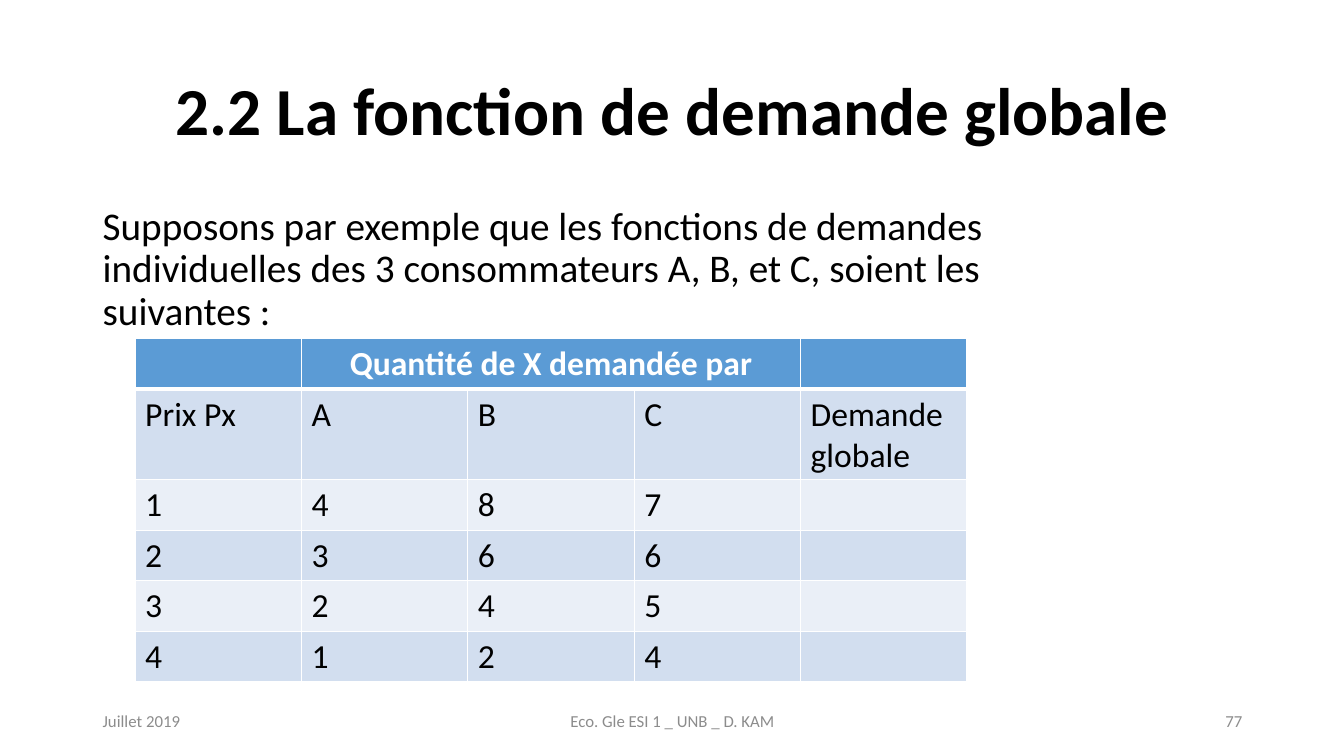
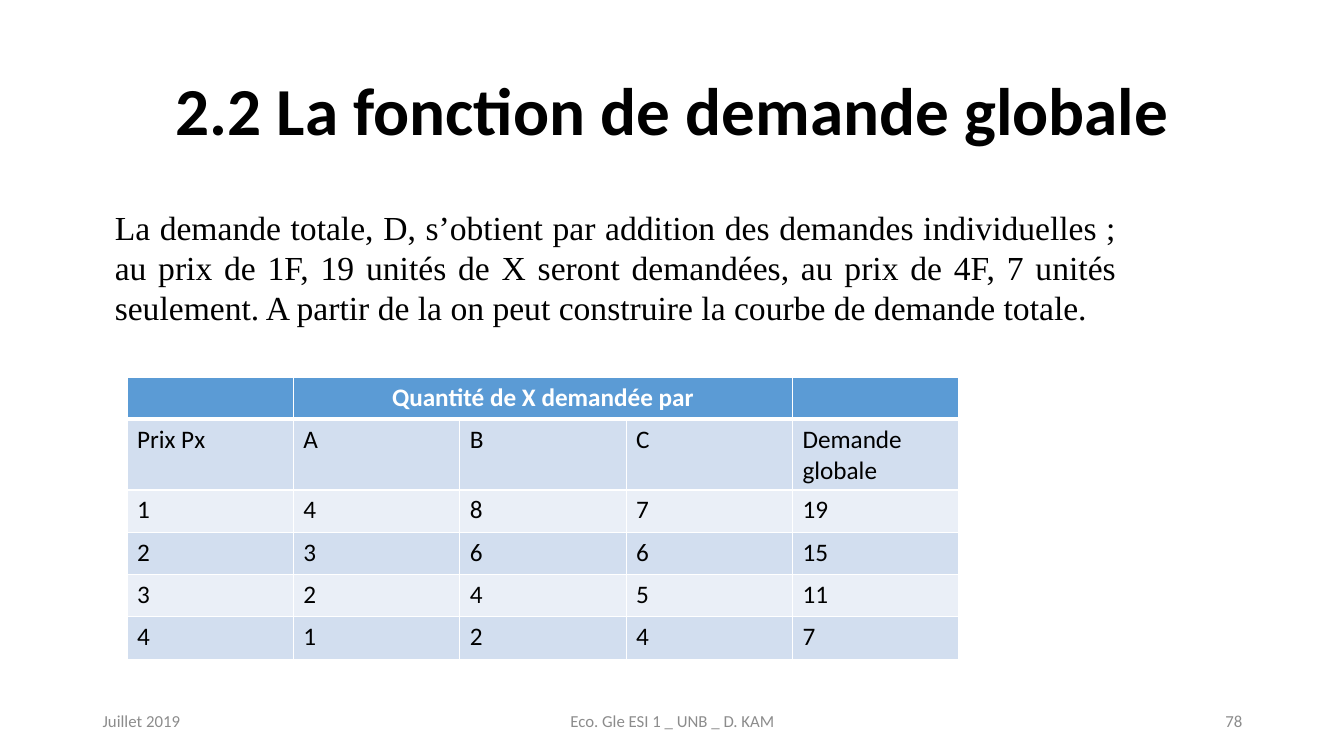
import pptx
import pptx.util
import pptx.dml.color
import pptx.enum.text
import pptx.oxml
from dataclasses import dataclass

Inches, Pt = pptx.util.Inches, pptx.util.Pt
ALIGN = pptx.enum.text.PP_ALIGN
ANCHOR = pptx.enum.text.MSO_ANCHOR


@dataclass(frozen=True)
class Theme:
    sans: str = "Calibri"
    serif: str = "Times New Roman"
    ink: str = "000000"
    white: str = "FFFFFF"
    grey: str = "8C8C8C"
    header: str = "5B9BD5"
    bands: tuple = ("D2DEEF", "EAEFF7")
    title_size: int = 48
    lead_size: int = 28
    note_size: int = 24
    footer_size: int = 12


theme = Theme()

# Content
TITLE = "2.2 La fonction de demande globale"
DATE = "Juillet 2019"
FOOTER = "Eco. Gle ESI 1 _ UNB _ D. KAM"
GROUP_HEADING = "Quantité de X demandée par"
COLUMN_HEADINGS = ["Prix Px ", "A", "B", "C", "Demande globale"]
DEMAND = {1: (4, 8, 7), 2: (3, 6, 6), 3: (2, 4, 5), 4: (1, 2, 4)}

PAGES = [
    dict(
        number=77,
        text="Supposons par exemple que les fonctions de demandes individuelles "
             "des 3 consommateurs A, B, et C, soient les suivantes\u00a0:",
        text_at=(0.92, 2, 10.65, 4.76),
        text_style=dict(size=theme.lead_size, line=0.9, before=10, right_inset=0.4),
        table_at=(1.34, 3.36), table_size=24, show_totals=False,
    ),
    dict(
        number=78,
        text="La demande totale, D, s’obtient par addition des demandes "
             "individuelles ; au prix de 1F, 19 unités de X seront demandées, "
             "au prix de 4F, 7 unités seulement. A partir de la on peut "
             "construire la courbe de demande totale. ",
        text_at=(1.04, 2, 10.13, 1.31),
        text_style=dict(size=theme.note_size, font=theme.serif, align=ALIGN.JUSTIFY),
        table_at=(1.26, 3.74), table_size=18, show_totals=True,
    ),
]

COLUMN_WIDTH, ROW_HEIGHT = 1.65, 0.42


def style_font(para, size, color=theme.ink, font=theme.sans, bold=False):
    para.font.size = Pt(size)
    para.font.name = font
    para.font.bold = bold
    para.font.color.rgb = pptx.dml.color.RGBColor.from_string(color)


def add_text(page, at, text, size, color=theme.ink, font=theme.sans, bold=False,
             align=ALIGN.LEFT, anchor=ANCHOR.TOP, line=1.0, before=0, right_inset=0.1):
    box = page.shapes.add_textbox(*map(Inches, at))
    frame = box.text_frame
    frame.word_wrap = True
    frame.vertical_anchor = anchor
    frame.margin_right = Inches(right_inset)
    para = frame.paragraphs[0]
    para.text = text
    para.alignment = align
    para.line_spacing = line
    para.space_before = Pt(before)
    style_font(para, size, color, font, bold)


def set_borders(cell, top, bottom):
    properties = cell._tc.get_or_add_tcPr()
    for side, width in (("L", 1), ("R", 1), ("T", top), ("B", bottom)):
        edge = pptx.oxml.parse_xml(
            '<a:ln%s xmlns:a="http://schemas.openxmlformats.org/drawingml/2006/main" '
            'w="%d"><a:solidFill><a:srgbClr val="%s"/></a:solidFill></a:ln%s>'
            % (side, Pt(width), theme.white, side))
        properties.append(edge)


def add_demand_table(page, at, size, show_totals):
    rows = [["", GROUP_HEADING, "", "", ""], COLUMN_HEADINGS]
    for price, quantities in DEMAND.items():
        rows.append([price, *quantities, sum(quantities) if show_totals else ""])
    columns = len(COLUMN_HEADINGS)
    table = page.shapes.add_table(
        len(rows), columns, *map(Inches, at),
        Inches(columns * COLUMN_WIDTH), Inches(len(rows) * ROW_HEIGHT)).table
    for column in table.columns:
        column.width = Inches(COLUMN_WIDTH)
    table.cell(0, 1).merge(table.cell(0, 3))

    for r, values in enumerate(rows):
        table.rows[r].height = Inches(ROW_HEIGHT)
        heading = r == 0
        fill = theme.header if heading else theme.bands[(r - 1) % 2]
        for c, value in enumerate(values):
            cell = table.cell(r, c)
            set_borders(cell, top=3 if r == 1 else 1, bottom=3 if heading else 1)
            cell.fill.solid()
            cell.fill.fore_color.rgb = pptx.dml.color.RGBColor.from_string(fill)
            para = cell.text_frame.paragraphs[0]
            if value != "":
                para.text = str(value)
            para.alignment = ALIGN.CENTER if heading else ALIGN.LEFT
            style_font(para, size, theme.white if heading else theme.ink, bold=heading)


def add_frame(page, number):
    add_text(page, (0.92, 0.4, 11.5, 1.45), TITLE, theme.title_size, bold=True,
             align=ALIGN.CENTER, anchor=ANCHOR.MIDDLE, line=0.9)
    for left, width, text, align in ((0.92, 3, DATE, ALIGN.LEFT),
                                     (4.42, 4.5, FOOTER, ALIGN.CENTER),
                                     (9.42, 3, str(number), ALIGN.RIGHT)):
        add_text(page, (left, 6.95, width, 0.4), text, theme.footer_size,
                 theme.grey, align=align, anchor=ANCHOR.MIDDLE)


# Build the pages
deck = pptx.Presentation()
deck.slide_width, deck.slide_height = Inches(13.33), Inches(7.5)
for content in PAGES:
    page = deck.slides.add_slide(deck.slide_layouts[6])
    add_frame(page, content["number"])
    add_text(page, content["text_at"], content["text"], **content["text_style"])
    add_demand_table(page, content["table_at"], content["table_size"],
                     content["show_totals"])
deck.save("out.pptx")
